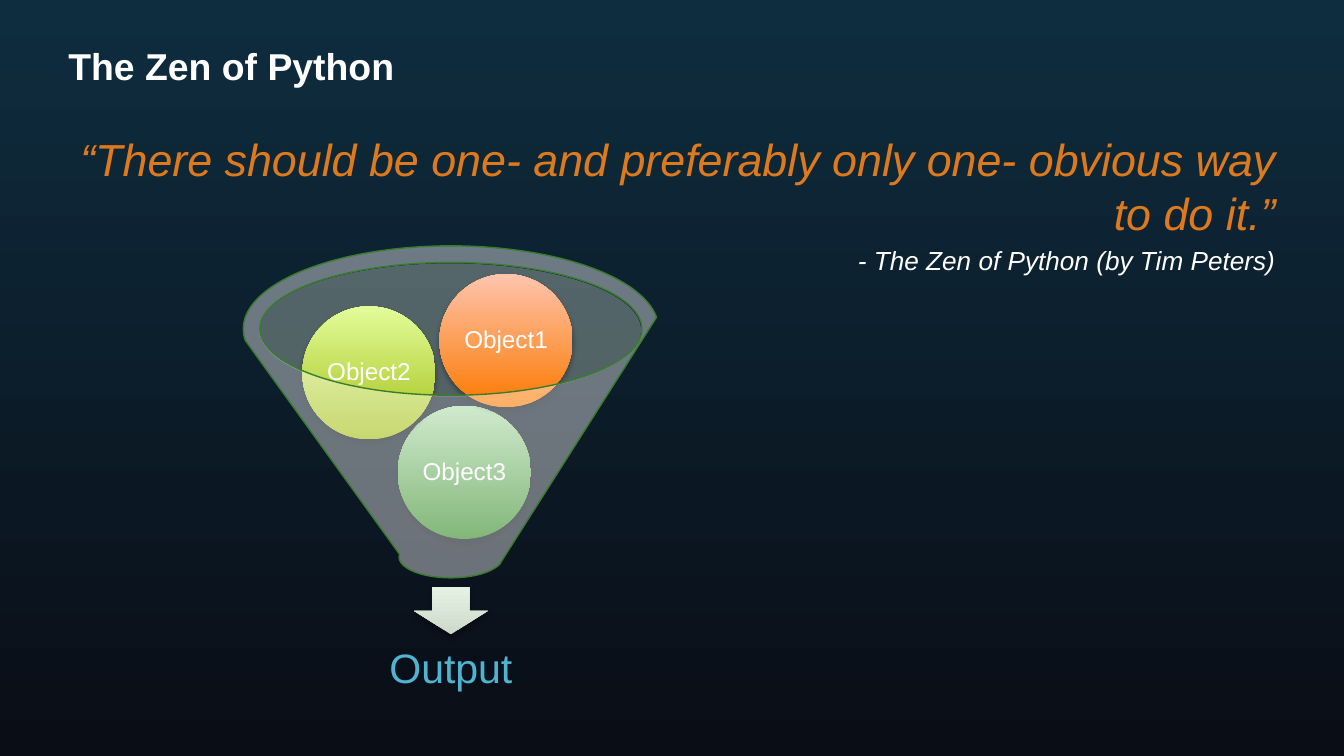
"""Build the Zen of Python slide with a funnel that turns three objects into one output."""
from lxml.etree import SubElement
from pptx import Presentation
from pptx.dml.color import RGBColor
from pptx.enum.shapes import MSO_SHAPE
from pptx.enum.text import MSO_ANCHOR, PP_ALIGN
from pptx.oxml.ns import qn
from pptx.util import Inches, Pt


def paint(fill, colors, angle=90, alpha=None):
    """Fill with one colour, or with a gradient of two."""
    if len(colors) == 2:
        fill.gradient()
        fill.gradient_angle = angle
        for stop, color in zip(fill.gradient_stops, colors):
            stop.color.rgb = RGBColor.from_string(color)
        return
    fill.solid()
    fill.fore_color.rgb = RGBColor.from_string(colors[0])
    if alpha:
        color_node = fill._xPr.find(qn("a:solidFill"))[0]
        SubElement(color_node, qn("a:alpha"), val=str(alpha * 1000))


def write(para, text, size, color, align, bold=None, italic=None):
    """Add one formatted run to a paragraph."""
    para.alignment = align
    span = para.add_run()
    span.text = text
    span.font.name = "Arial"
    span.font.size = Pt(size)
    span.font.bold = bold
    span.font.italic = italic
    paint(span.font.fill, [color])


deck = Presentation()
deck.slide_width = Inches(10)
deck.slide_height = Inches(10) * 9 // 16
page = deck.slides.add_slide(deck.slide_layouts[6])
paint(page.background.fill, ["0E2D3F", "0A0D16"], angle=270)

title = page.shapes.add_textbox(Inches(0.41), Inches(0.27), Inches(9.18), Inches(0.5)).text_frame
title.word_wrap = True
title.vertical_anchor = MSO_ANCHOR.TOP
write(title.paragraphs[0], "The Zen of Python", 20, "FFFFFF", PP_ALIGN.LEFT, bold=True)

quote = page.shapes.add_textbox(Inches(0.42), Inches(0.93), Inches(9.17), Inches(3.79)).text_frame
quote.word_wrap = True
quote_lines = [
    ("“There should be one- and preferably only one- obvious way to do it.”", 24, "DF7A1C"),
    ("- The Zen of Python (by Tim Peters)", 14, "FFFFFF"),
]
for index, (text, size, color) in enumerate(quote_lines):
    para = quote.add_paragraph() if index else quote.paragraphs[0]
    para.space_before = Pt(size * 0.2)
    write(para, text, size, color, PP_ALIGN.RIGHT, italic=True)

mouth = page.shapes.add_shape(MSO_SHAPE.OVAL, Inches(1.93), Inches(1.96), Inches(2.84), Inches(0.99))
paint(mouth.fill, ["BFCCBE"], alpha=40)
mouth.line.fill.background()
mouth.shadow.inherit = False

output = page.shapes.add_textbox(Inches(2.03), Inches(4.66), Inches(2.65), Inches(0.66)).text_frame
output.word_wrap = True
output.vertical_anchor = MSO_ANCHOR.MIDDLE
output.paragraphs[0].line_spacing = 0.9
write(output.paragraphs[0], "Output", 22, "50B3CF", PP_ALIGN.CENTER)

shaded_shapes = [
    ("", MSO_SHAPE.DOWN_ARROW, 3.08, 4.37, 0.55, 0.35, ["CDD9CC", "E4F2E3"]),
    ("Object3", MSO_SHAPE.OVAL, 2.96, 3.02, 0.99, 0.99, ["308820", "B1DCAD"]),
    ("Object2", MSO_SHAPE.OVAL, 2.25, 2.28, 0.99, 0.99, ["A2BE13", "E3FD9A"]),
    ("Object1", MSO_SHAPE.OVAL, 3.27, 2.04, 0.99, 0.99, ["FB7900", "FFC4AE"]),
]
for label, kind, left, top, width, height, colors in shaded_shapes:
    shape = page.shapes.add_shape(kind, Inches(left), Inches(top), Inches(width), Inches(height))
    paint(shape.fill, colors)
    shape.line.fill.background()
    shape.shadow.inherit = False
    effects = shape._element.spPr.find(qn("a:effectLst"))
    shadow = SubElement(effects, qn("a:outerShdw"), blurRad=str(Pt(3.1)), dist=str(Pt(1.8)),
                        dir="5400000", rotWithShape="0")
    black = SubElement(shadow, qn("a:srgbClr"), val="000000")
    SubElement(black, qn("a:alpha"), val="35000")
    if label:
        frame = shape.text_frame
        frame.word_wrap = False
        frame.vertical_anchor = MSO_ANCHOR.MIDDLE
        frame.margin_left = frame.margin_right = Inches(0.02)
        frame.margin_top = frame.margin_bottom = Inches(0.02)
        frame.paragraphs[0].line_spacing = 0.9
        write(frame.paragraphs[0], label, 13, "FFFFFF", PP_ALIGN.CENTER)

funnel = page.shapes.add_shape(MSO_SHAPE.FUNNEL, Inches(1.81), Inches(1.83), Inches(3.09), Inches(2.47))
paint(funnel.fill, ["FFFFFF"], alpha=40)
paint(funnel.line.fill, ["387C2C"])
funnel.line.width = Pt(0.75)
funnel.shadow.inherit = False

deck.save("out.pptx")
